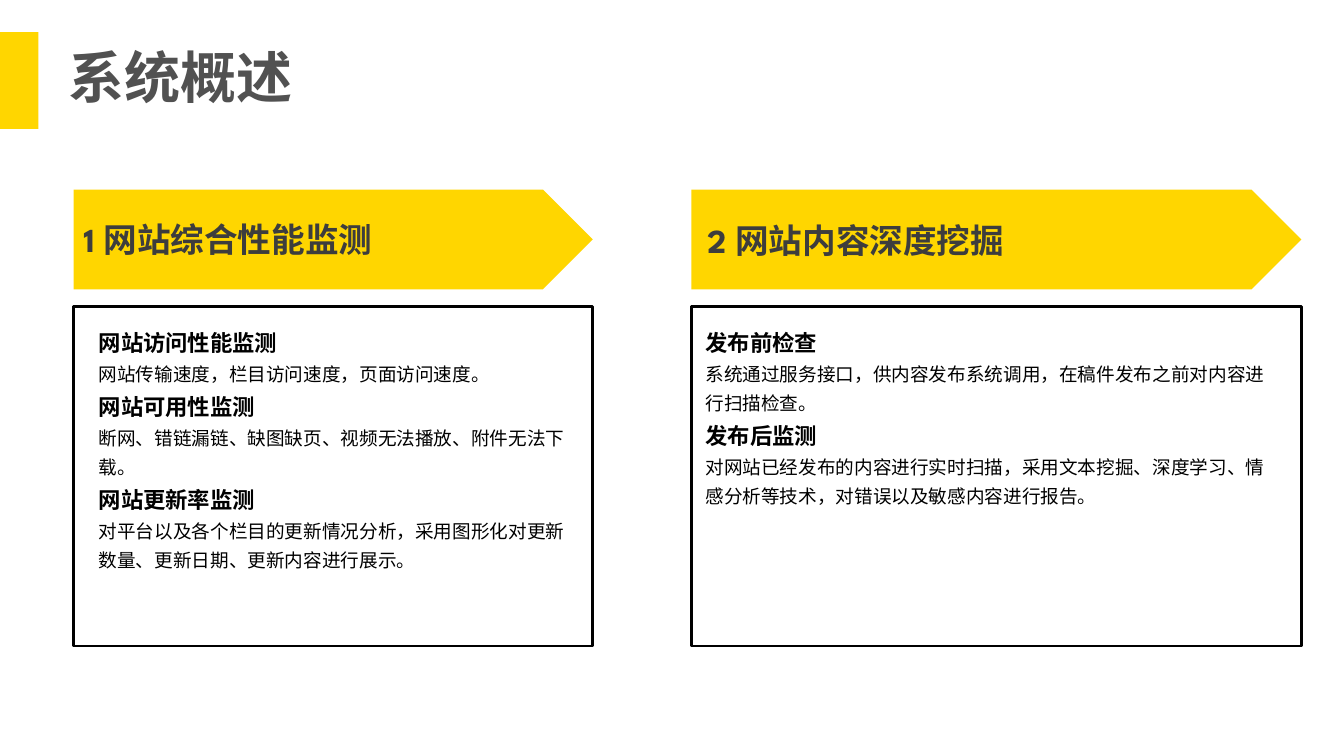
from dataclasses import dataclass

from lxml.etree import SubElement
from pptx import Presentation
from pptx.dml.color import RGBColor
from pptx.enum.shapes import MSO_SHAPE as Kind
from pptx.enum.text import MSO_ANCHOR as Anchor, MSO_AUTO_SIZE as Fit, PP_ALIGN as Align
from pptx.oxml.ns import qn
from pptx.shapes.autoshape import Shape
from pptx.slide import Slide
from pptx.text.text import TextFrame, _Paragraph as Para
from pptx.util import Pt

YELLOW = RGBColor(0xFF, 0xD6, 0x00)
GREY = RGBColor(0x51, 0x51, 0x51)
DARK = RGBColor(0x3D, 0x3D, 0x3D)
BLACK = RGBColor(0x00, 0x00, 0x00)
LATIN = "League Spartan"
HAN = "Noto Sans CJK SC"

BAR_TOP, BAR_HIGH = 135.4, 71.3
BOX_TOP, BOX_HIGH = 218.9, 242.6
HEAD_WIDE, HEAD_HIGH = 332.6, 36
BODY_TOP = 226.1


@dataclass
class Topic:
    name: str
    text: str


@dataclass
class Column:
    left: float
    wide: float
    head: str
    head_left: float
    head_top: float
    body_left: float
    body_wide: float
    body_high: float
    topics: list[Topic]


COLUMNS = [
    Column(52.6, 370.8, "1 网站综合性能监测", 52.6, 152.6, 63.4, 354.2, 208.8, [
        Topic("网站访问性能监测", "网站传输速度，栏目访问速度，页面访问速度。"),
        Topic("网站可用性监测", "断网、错链漏链、缺图缺页、视频无法播放、附件无法下载。"),
        Topic("网站更新率监测",
              "对平台以及各个栏目的更新情况分析，采用图形化对更新数量、更新日期、更新内容进行展示。"),
    ]),
    Column(493.9, 435.6, "2 网站内容深度挖掘", 498.2, 153.4, 496.8, 423.4, 183.6, [
        Topic("发布前检查",
              "系统通过服务接口，供内容发布系统调用，在稿件发布之前对内容进行扫描检查。"),
        Topic("发布后监测",
              "对网站已经发布的内容进行实时扫描，采用文本挖掘、深度学习、情感分析等技术，对错误以及敏感内容进行报告。"),
    ]),
]


def add_run(para: Para, text: str, size: float, color: RGBColor,
            bold: bool = True, face: str = LATIN) -> None:
    run = para.add_run()
    run.text = text
    font = run.font
    font.name, font.size, font.bold = face, Pt(size), bold
    font.color.rgb = color
    SubElement(run._r.get_or_add_rPr(), qn("a:ea"), typeface=HAN)


def add_block(slide: Slide, kind: Kind, left: float, top: float,
              wide: float, high: float) -> Shape:
    """Add a yellow shape with no outline."""
    block = slide.shapes.add_shape(kind, Pt(left), Pt(top), Pt(wide), Pt(high))
    block.shadow.inherit = False
    block.fill.solid()
    block.fill.fore_color.rgb = YELLOW
    block.line.fill.background()
    return block


def add_text(slide: Slide, left: float, top: float,
             wide: float, high: float) -> TextFrame:
    box = slide.shapes.add_textbox(Pt(left), Pt(top), Pt(wide), Pt(high))
    frame = box.text_frame
    frame.word_wrap = True
    return frame


def add_title(slide: Slide, text: str) -> None:
    title = slide.shapes.title
    title.left, title.top = Pt(41.8), Pt(23)
    title.width, title.height = Pt(359.3), Pt(69.1)
    frame = title.text_frame
    frame.auto_size = Fit.NONE
    frame.vertical_anchor = Anchor.MIDDLE
    para = frame.paragraphs[0]
    para.alignment = Align.LEFT
    para.line_spacing = 0.9
    add_run(para, text, 40, GREY, face=HAN)


def add_column(slide: Slide, col: Column) -> None:
    add_block(slide, Kind.PENTAGON, col.left, BAR_TOP, col.wide, BAR_HIGH)

    box = add_block(slide, Kind.RECTANGLE, col.left, BOX_TOP, col.wide, BOX_HIGH)
    box.fill.background()
    box.line.color.rgb = BLACK
    box.line.width = Pt(2)

    head = add_text(slide, col.head_left, col.head_top, HEAD_WIDE, HEAD_HIGH)
    add_run(head.paragraphs[0], col.head, 24, DARK)

    body = add_text(slide, col.body_left, BODY_TOP, col.body_wide, col.body_high)
    for i, topic in enumerate(col.topics):
        name = body.add_paragraph() if i else body.paragraphs[0]
        add_run(name, topic.name, 16, BLACK)
        add_run(body.add_paragraph(), topic.text, 13.3, BLACK, bold=False)
    for para in body.paragraphs:
        para.line_spacing = 1.3


def main() -> None:
    deck = Presentation()
    deck.slide_width, deck.slide_height = Pt(960), Pt(540)
    slide = deck.slides.add_slide(deck.slide_layouts[5])
    add_title(slide, "系统概述")
    add_block(slide, Kind.RECTANGLE, 0, 23, 27.4, 69.1)
    for col in COLUMNS:
        add_column(slide, col)
    deck.save("out.pptx")


if __name__ == "__main__":
    main()
